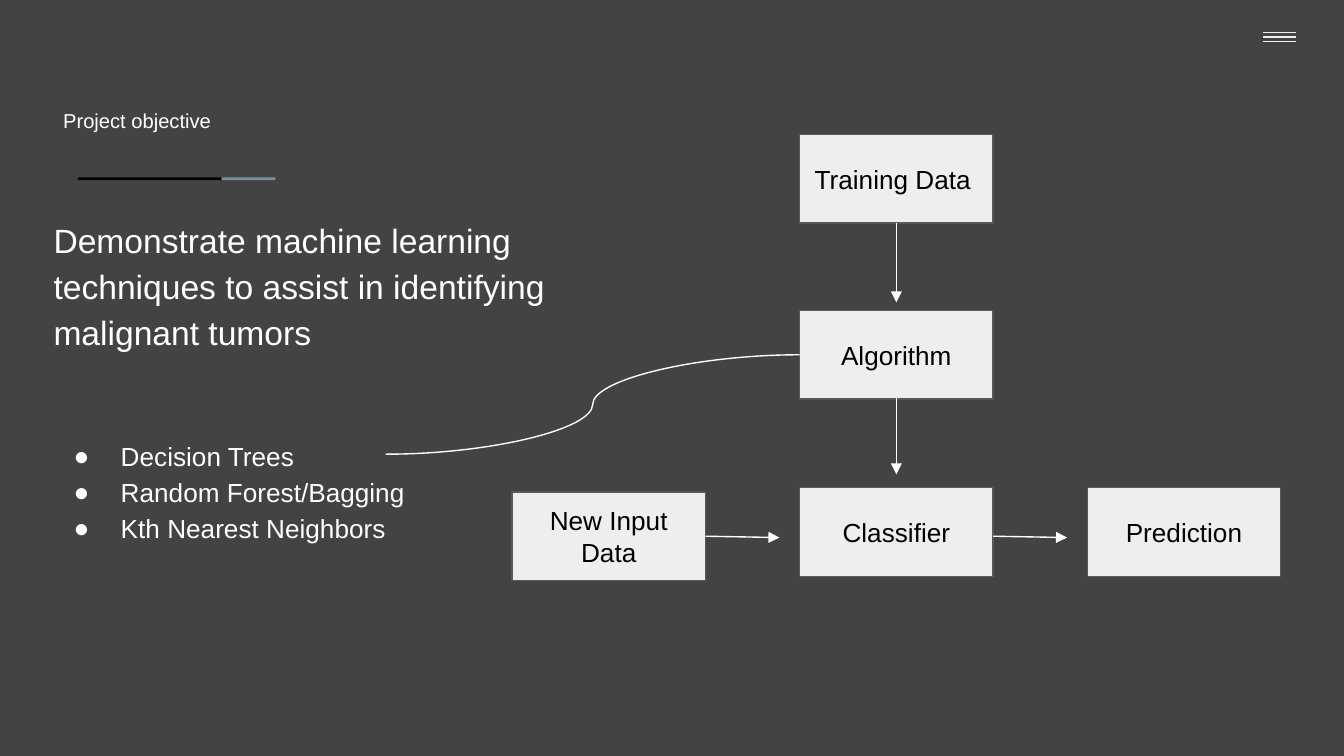
from dataclasses import dataclass

from lxml import etree
from pptx import Presentation
from pptx.dml.color import RGBColor
from pptx.enum.shapes import MSO_CONNECTOR, MSO_SHAPE
from pptx.enum.text import MSO_ANCHOR, MSO_AUTO_SIZE, PP_ALIGN
from pptx.oxml.ns import qn
from pptx.util import Inches, Pt


@dataclass(frozen=True)
class Theme:
    font: str = "Arial"
    background: str = "434343"
    text: str = "FFFFFF"
    box_text: str = "000000"
    box_fill: str = "EEEEEE"
    box_line: str = "595959"
    accent_dark: str = "000000"
    accent_light: str = "78909C"
    title_size: float = 10.8
    statement_size: float = 18
    label_size: float = 14
    line_width: float = 0.75


THEME = Theme()


def color(value):
    return RGBColor.from_string(value)


def prepare_frame(frame, anchor=MSO_ANCHOR.TOP):
    frame.word_wrap = True
    frame.auto_size = MSO_AUTO_SIZE.NONE
    frame.vertical_anchor = anchor
    frame.margin_left = frame.margin_right = Inches(0.1)
    frame.margin_top = frame.margin_bottom = Inches(0.1)


def write(paragraph, text, size=THEME.label_size, ink=THEME.text,
          align=PP_ALIGN.LEFT, spacing=1.0, before=0, bullet=None):
    paragraph.text = text
    paragraph.alignment = align
    paragraph.line_spacing = spacing
    paragraph.space_before = Pt(before)
    for run in paragraph.runs:
        run.font.name = THEME.font
        run.font.size = Pt(size)
        run.font.color.rgb = color(ink)
    if bullet:
        properties = paragraph._p.get_or_add_pPr()
        properties.set("marL", str(Inches(0.5)))
        properties.set("indent", str(Inches(-0.35)))
        bullet_color = etree.SubElement(properties, qn("a:buClr"))
        etree.SubElement(bullet_color, qn("a:srgbClr"), val=ink)
        etree.SubElement(properties, qn("a:buFont"), typeface=THEME.font)
        etree.SubElement(properties, qn("a:buChar"), char=bullet)


def add_rectangle(slide, left, top, width, height, fill, line=None):
    rectangle = slide.shapes.add_shape(
        MSO_SHAPE.RECTANGLE, Inches(left), Inches(top), Inches(width), Inches(height))
    rectangle.shadow.inherit = False
    rectangle.fill.solid()
    rectangle.fill.fore_color.rgb = color(fill)
    if line:
        rectangle.line.color.rgb = color(line)
        rectangle.line.width = Pt(THEME.line_width)
    else:
        rectangle.line.fill.background()
    return rectangle


def add_line(slide, start, end, ink=THEME.text, kind=MSO_CONNECTOR.STRAIGHT, arrow=False):
    connector = slide.shapes.add_connector(
        kind, *(Inches(value) for value in (*start, *end)))
    connector.line.color.rgb = color(ink)
    connector.line.width = Pt(THEME.line_width)
    if arrow:
        etree.SubElement(connector.line._get_or_add_ln(), qn("a:tailEnd"), type="triangle")
    etree.SubElement(connector._element.spPr, qn("a:effectLst"))


def add_menu_icon(slide, left, top, width, height):
    for row in range(3):
        y = top + row * height / 2
        add_line(slide, (left, y), (left + width, y), THEME.box_fill)


def add_heading(slide, left, top, width, height):
    title = slide.shapes.title
    title.left, title.top = Inches(left), Inches(top)
    title.width, title.height = Inches(width), Inches(height)
    prepare_frame(title.text_frame)
    write(title.text_frame.paragraphs[0], "Project objective", size=THEME.title_size)

    rule_left, rule_top, dark_width = left + 0.21, top + 0.61, 1.07
    add_rectangle(slide, rule_left, rule_top, dark_width, 0.02, THEME.accent_dark)
    add_rectangle(slide, rule_left + dark_width, rule_top, 0.4, 0.02, THEME.accent_light)


def add_objective(slide, left, top, width, height):
    body = slide.shapes.add_textbox(
        Inches(left), Inches(top), Inches(width), Inches(height)).text_frame
    prepare_frame(body)
    statement = ("Demonstrate machine learning \vtechniques to assist in identifying "
                 "\vmalignant tumors")
    write(body.paragraphs[0], statement, size=THEME.statement_size, spacing=1.15)
    methods = ["Decision Trees", "Random Forest/Bagging", "Kth Nearest Neighbors"]
    for index, method in enumerate(methods):
        write(body.add_paragraph(), method, spacing=1.15,
              before=0 if index else 44.5, bullet="●")


def add_flow(slide, left, top):
    """Place the training column and the prediction row around it."""
    box_width, box_height = 1.44, 0.66
    column_step, row_step = 2.14, 1.31
    center_left = left + column_step
    last_top = top + 2 * row_step + 0.01
    steps = [
        ("Training Data ", center_left, top),
        ("Algorithm", center_left, top + row_step),
        ("Classifier", center_left, last_top),
        ("Prediction", center_left + column_step, last_top),
        ("New Input Data", left, last_top + 0.03),
    ]
    for label, x, y in steps:
        step = add_rectangle(slide, x, y, box_width, box_height,
                             THEME.box_fill, THEME.box_line)
        prepare_frame(step.text_frame, MSO_ANCHOR.MIDDLE)
        write(step.text_frame.paragraphs[0], label,
              ink=THEME.box_text, align=PP_ALIGN.CENTER)

    middle = center_left + box_width / 2
    for y in (top + box_height, top + row_step + box_height - 0.03):
        add_line(slide, (middle, y), (middle, y + 0.59), arrow=True)
    for x in (left + box_width, center_left + box_width):
        add_line(slide, (x, last_top + 0.36), (x + 0.55, last_top + 0.37), arrow=True)

    algorithm_middle = top + row_step + box_height / 2
    add_line(slide, (center_left, algorithm_middle),
             (center_left - 3.08, algorithm_middle + 0.74), kind=MSO_CONNECTOR.CURVE)


def main():
    presentation = Presentation()
    presentation.slide_width = Inches(10)
    presentation.slide_height = Inches(10 * 9 / 16)
    slide = presentation.slides.add_slide(presentation.slide_layouts[5])
    slide.background.fill.solid()
    slide.background.fill.fore_color.rgb = color(THEME.background)

    add_menu_icon(slide, 9.4, 0.24, 0.24, 0.07)
    add_heading(slide, 0.37, 0.71, 2.73, 0.38)
    add_objective(slide, 0.3, 1.49, 4.61, 3.67)
    add_flow(slide, 3.81, 1)
    presentation.save("out.pptx")


if __name__ == "__main__":
    main()
